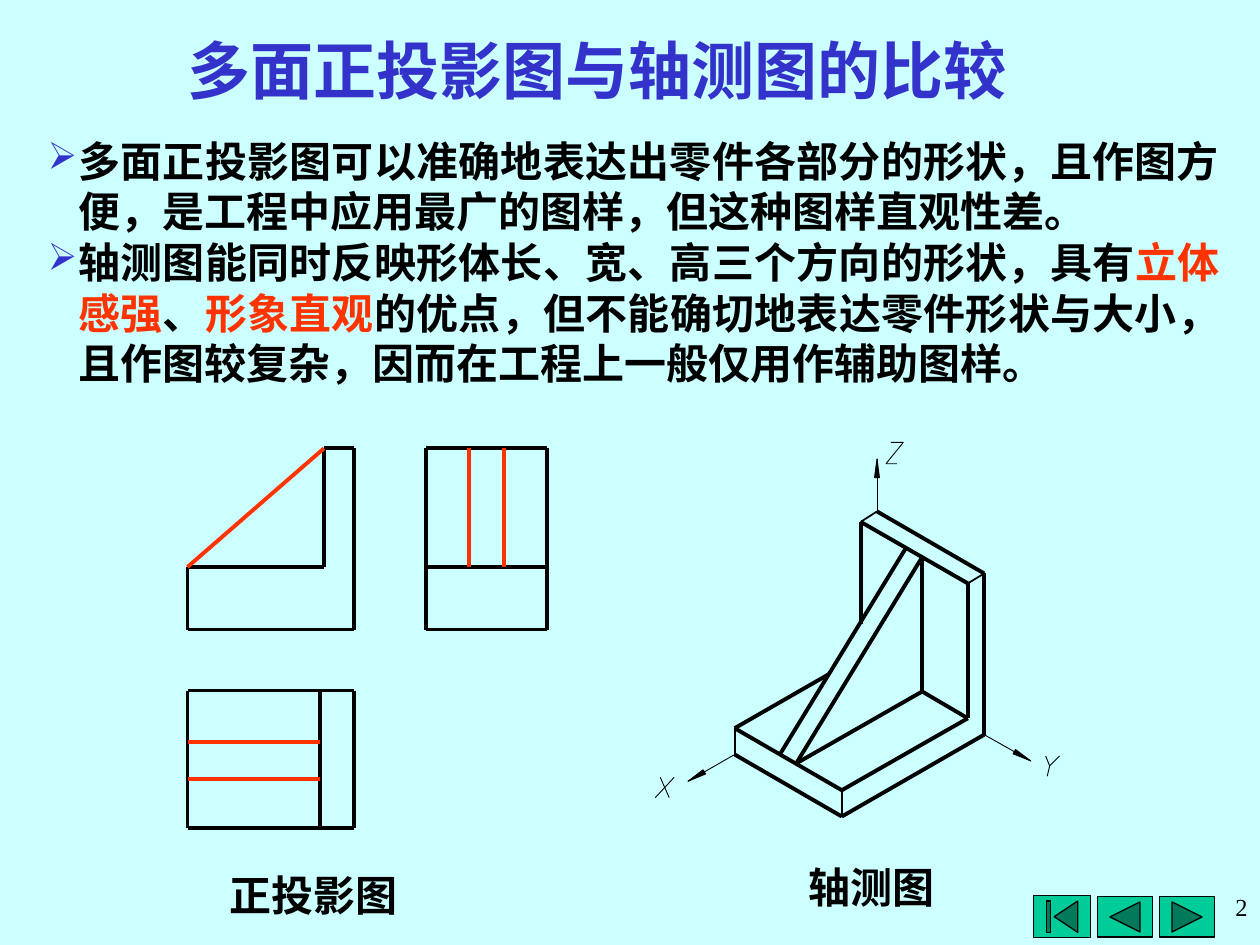
from math import hypot

from lxml.etree import SubElement
from pptx import Presentation
from pptx.dml.color import RGBColor
from pptx.enum.shapes import MSO_CONNECTOR, MSO_SHAPE
from pptx.enum.text import MSO_ANCHOR, PP_ALIGN
from pptx.oxml.ns import qn
from pptx.util import Cm, Pt

BLACK = RGBColor(0x00, 0x00, 0x00)
BLUE = RGBColor(0x33, 0x33, 0xCC)
RED = RGBColor(0xFF, 0x33, 0x00)
GREEN = RGBColor(0x00, 0xCC, 0x99)
PALE_CYAN = RGBColor(0xCC, 0xFF, 0xFF)
CHINESE_FONT = "Noto Sans CJK SC"
THICK, MEDIUM, THIN = 2.25, 1, 0.5


def add_run(paragraph, text, size=24, font=CHINESE_FONT, color=BLACK, bold=True):
    run = paragraph.add_run()
    run.text = text
    run.font.size, run.font.name, run.font.bold = Pt(size), font, bold
    run.font.color.rgb = color
    SubElement(run._r.get_or_add_rPr(), qn("a:ea"), typeface=font)


def add_text(slide, text, left, top, width, height, align=PP_ALIGN.CENTER,
             wrap=False, **run_format):
    frame = slide.shapes.add_textbox(Cm(left), Cm(top), Cm(width), Cm(height)).text_frame
    frame.word_wrap = wrap
    paragraph = frame.paragraphs[0]
    paragraph.alignment = align
    add_run(paragraph, text, **run_format)


def add_title(slide, text):
    title = slide.shapes.title
    title.left, title.top, title.width, title.height = Cm(0.61), Cm(0.66), Cm(22.86), Cm(1.47)
    title.text_frame.vertical_anchor = MSO_ANCHOR.MIDDLE
    paragraph = title.text_frame.paragraphs[0]
    paragraph.alignment = PP_ALIGN.CENTER
    add_run(paragraph, text, size=36, color=BLUE)


def add_bullets(slide, items):
    frame = slide.shapes.add_textbox(Cm(0.71), Cm(2.6), Cm(24.13), Cm(5.33)).text_frame
    frame.word_wrap = True
    for index, parts in enumerate(items):
        paragraph = frame.add_paragraph() if index else frame.paragraphs[0]
        paragraph.alignment = PP_ALIGN.JUSTIFY
        paragraph.line_spacing = Pt(28.9)
        properties = paragraph._p.get_or_add_pPr()
        properties.set("marL", str(Cm(0.62)))
        properties.set("indent", str(-Cm(0.62)))
        bullet_color = SubElement(properties, qn("a:buClr"))
        SubElement(bullet_color, qn("a:srgbClr"), val=str(BLUE))
        SubElement(properties, qn("a:buSzPct"), val="90000")
        SubElement(properties, qn("a:buChar"), char="➢")
        for text, color in parts:
            add_run(paragraph, text, color=color)


def add_line(slide, start, end, color=BLACK, weight=THICK):
    line = slide.shapes.add_connector(
        MSO_CONNECTOR.STRAIGHT, *(Cm(value) for value in (*start, *end)))
    line.line.color.rgb = color
    line.line.width = Pt(weight)
    SubElement(line._element.spPr, qn("a:effectLst"))


def add_lines(slide, segments, **line_format):
    for x1, y1, x2, y2 in segments:
        add_line(slide, (x1, y1), (x2, y2), **line_format)


def add_outline(slide, points, filled=False):
    builder = slide.shapes.build_freeform(*(Cm(value) for value in points[0]), scale=1.0)
    builder.add_line_segments([(Cm(x), Cm(y)) for x, y in points[1:]], close=filled)
    shape = builder.convert_to_shape()
    shape.shadow.inherit = False
    if filled:
        shape.fill.solid()
        shape.fill.fore_color.rgb = BLACK
    else:
        shape.fill.background()
    shape.line.color.rgb = BLACK
    shape.line.width = Pt(THIN)


def add_axis(slide, start, tip, length=0.38, half_width=0.05):
    """Thin axis with a slender solid arrowhead at its tip."""
    add_line(slide, start, tip, weight=THIN)
    distance = hypot(tip[0] - start[0], tip[1] - start[1])
    dx, dy = (tip[0] - start[0]) / distance, (tip[1] - start[1]) / distance
    base_x, base_y = tip[0] - length * dx, tip[1] - length * dy
    side_x, side_y = half_width * dy, half_width * dx
    add_outline(slide, [tip, (base_x - side_x, base_y + side_y),
                        (base_x + side_x, base_y - side_y)], filled=True)


def add_button(slide, kind, left, top, width, height):
    button = slide.shapes.add_shape(kind, Cm(left), Cm(top), Cm(width), Cm(height))
    button.shadow.inherit = False
    button.fill.solid()
    button.fill.fore_color.rgb = GREEN
    button.line.color.rgb = BLACK
    button.line.width = Pt(0.75)


def draw_projections(slide):
    left, inner, right = 3.78, 6.53, 7.14
    side_left, side_right = 8.59, 11.02
    top, step, bottom = 9.04, 11.43, 12.69
    plan_top, plan_bottom, plan_inner = 13.92, 16.69, 6.45
    add_lines(slide, [
        # Front view
        (right, top, right, bottom), (right, top, inner, top),
        (inner, top, inner, step), (inner, step, left, step),
        (left, step, left, bottom), (left, bottom, right, bottom),
        # Top view
        (left, plan_top, left, plan_bottom), (left, plan_top, right, plan_top),
        (right, plan_top, right, plan_bottom), (left, plan_bottom, right, plan_bottom),
        (plan_inner, plan_top, plan_inner, plan_bottom),
        # Side view
        (side_left, top, side_left, bottom), (side_left, bottom, side_right, bottom),
        (side_left, top, side_right, top), (side_right, top, side_right, bottom),
        (side_left, step, side_right, step),
    ])
    # Rib in all three views
    add_lines(slide, [(inner, top, left, step)], color=RED)
    add_lines(slide, [(left, y, plan_inner, y) for y in (14.96, 15.7)], color=RED)
    add_lines(slide, [(x, top, x, step) for x in (9.45, 10.16)], color=RED)


def draw_axonometric(slide):
    # Upright plate
    wall_back, wall_right = (17.68, 10.31), (19.84, 11.56)
    wall_left, wall_front = (17.35, 10.52), (19.51, 11.76)
    wall_hidden, corner = (17.35, 12.57), (19.51, 14.48)
    # Base plate
    base_back, base_left, base_front = (16.71, 13.59), (14.81, 14.68), (16.97, 15.93)
    foot_left, foot_front, foot_right = (14.81, 15.21), (16.97, 16.46), (19.84, 14.81)
    # Rib
    rib_top_left, rib_top_right = (18.26, 11.05), (18.59, 11.23)
    rib_foot_left, rib_foot_right, rib_corner = (15.72, 15.21), (16.05, 15.39), (18.59, 13.94)

    for chain in (
        (wall_back, wall_right, foot_right, foot_front, foot_left),
        (wall_hidden, wall_left, wall_front, corner, base_front, base_left, base_back),
        (rib_top_left, rib_foot_left),
        (rib_top_right, rib_foot_right, rib_corner, rib_top_right),
        (rib_corner, corner),
    ):
        for start, end in zip(chain, chain[1:]):
            add_line(slide, start, end)
    for start, end in ((wall_left, wall_back), (wall_right, wall_front),
                       (base_left, foot_left), (base_front, foot_front)):
        add_line(slide, start, end, weight=MEDIUM)

    # Axes
    add_axis(slide, foot_left, (13.87, 15.75))
    add_axis(slide, foot_right, (20.78, 15.34))
    add_axis(slide, wall_back, (17.68, 9.25))

    # Axis letters X, Y and Z as strokes
    add_lines(slide, [(13.31, 15.67, 13.49, 16.08), (13.59, 15.67, 13.21, 16.08),
                      (21.16, 15.44, 21.11, 15.65)], weight=THIN)
    add_outline(slide, [(21.08, 15.24), (21.16, 15.44), (21.36, 15.24)])
    add_outline(slide, [(17.96, 8.92), (18.21, 8.92), (17.86, 9.35), (18.08, 9.35)])


def main():
    presentation = Presentation()
    presentation.slide_width, presentation.slide_height = Cm(25.4), Cm(19.05)
    slide = presentation.slides.add_slide(presentation.slide_layouts[5])
    slide.background.fill.solid()
    slide.background.fill.fore_color.rgb = PALE_CYAN

    # Navigation buttons
    add_button(slide, MSO_SHAPE.ACTION_BUTTON_FORWARD_OR_NEXT, 23.37, 18.08, 1.12, 0.81)
    add_button(slide, MSO_SHAPE.ACTION_BUTTON_BACK_OR_PREVIOUS, 22.12, 18.08, 1.12, 0.81)
    add_button(slide, MSO_SHAPE.ACTION_BUTTON_BEGINNING, 20.83, 18.06, 1.16, 0.84)

    # Title and comparison
    add_title(slide, "多面正投影图与轴测图的比较")
    add_bullets(slide, [
        [("多面正投影图可以准确地表达出零件各部分的形状，且作图方便，"
          "是工程中应用最广的图样，但这种图样直观性差。", BLACK)],
        [("轴测图能同时反映形体长、宽、高三个方向的形状，具有", BLACK),
         ("立体感强", RED), ("、", BLACK), ("形象直观", RED),
         ("的优点，但不能确切地表达零件形状与大小，且作图较复杂，"
          "因而在工程上一般仅用作辅助图样。", BLACK)],
    ])

    # Drawings and captions
    draw_axonometric(slide)
    draw_projections(slide)
    add_text(slide, "正投影图", 4.37, 17.4, 3.89, 1.27, font="Arial")
    add_text(slide, "轴测图", 16.05, 17.25, 3.05, 1.27, font="Arial")

    # Page number
    add_text(slide, "2", 19, 17.86, 6.4, 1.55, align=PP_ALIGN.RIGHT, wrap=True,
             size=14, font="Times New Roman", bold=False)
    presentation.save("out.pptx")


if __name__ == "__main__":
    main()
